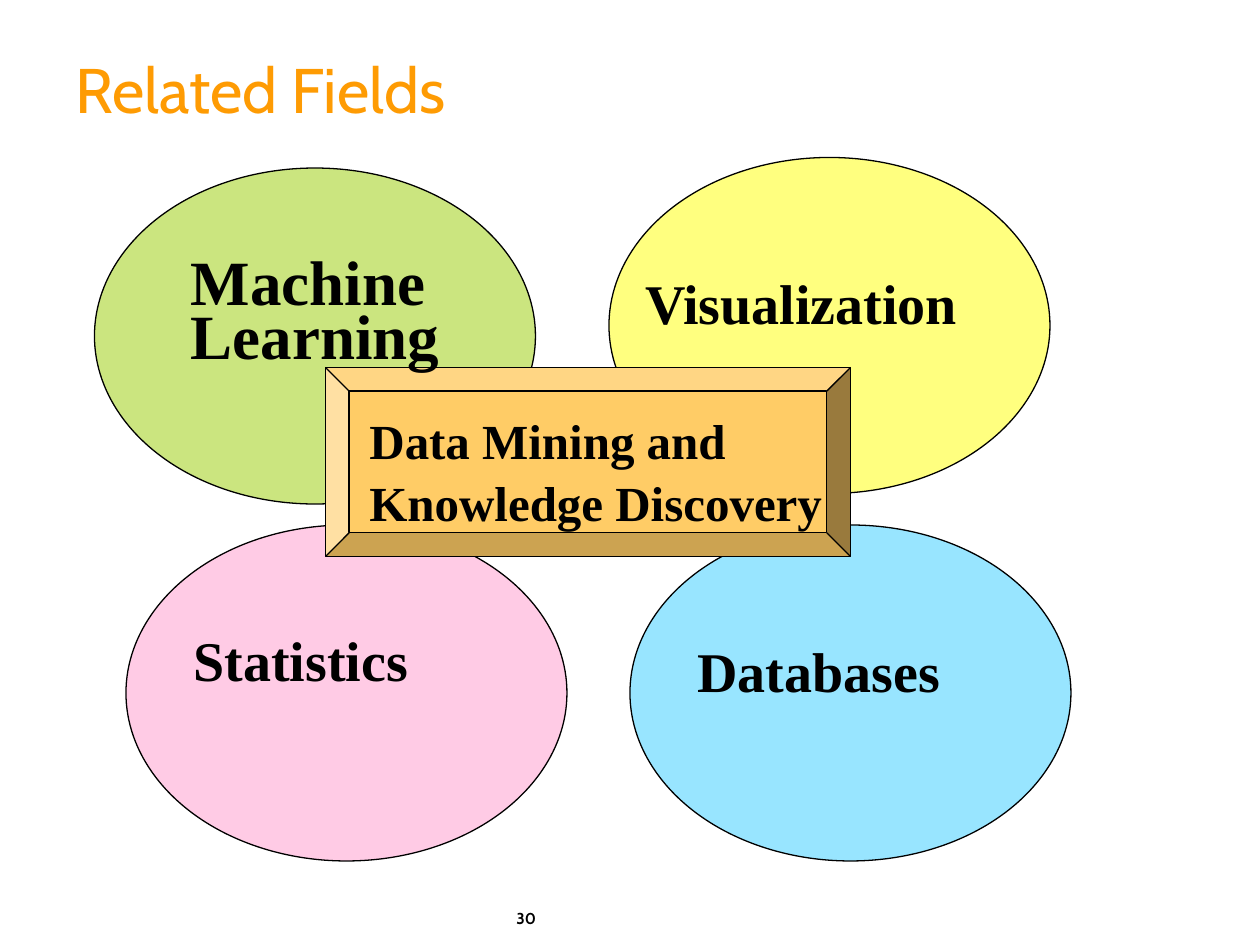
"""Build the Related Fields slide: four overlapping fields around data mining."""
from lxml.etree import SubElement
from pptx import Presentation
from pptx.dml.color import RGBColor
from pptx.enum.shapes import MSO_SHAPE
from pptx.enum.text import MSO_ANCHOR, MSO_AUTO_SIZE, PP_ALIGN
from pptx.oxml.ns import qn
from pptx.util import Pt

BLACK = RGBColor(0x00, 0x00, 0x00)
ORANGE = RGBColor(0xFE, 0x9B, 0x03)
GOLD = RGBColor(0xFF, 0xCC, 0x66)
BLUE = RGBColor(0x33, 0xCC, 0xFF)
PINK = RGBColor(0xFF, 0x99, 0xCC)
YELLOW = RGBColor(0xFF, 0xFF, 0x00)
GREEN = RGBColor(0x99, 0xCC, 0x00)
SERIF = "Times New Roman"
SANS = "Cabin"


def add_panel(kind, box, color):
    sp = s.shapes.add_shape(kind, *map(Pt, box))
    sp.shadow.inherit = False
    sp.fill.solid()
    sp.fill.fore_color.rgb = color
    sp.line.color.rgb = BLACK
    sp.line.width = Pt(0.75)
    return sp


def write(sp, lines, spacing, before, top, font):
    tf = sp.text_frame
    frame = {"word_wrap": True, "auto_size": MSO_AUTO_SIZE.NONE,
             "margin_top": Pt(top), "margin_right": 0}
    for name, value in frame.items():
        setattr(tf, name, value)
    for i, line in enumerate(lines):
        p = tf.add_paragraph() if i else tf.paragraphs[0]
        p.alignment = PP_ALIGN.LEFT
        p.line_spacing = spacing
        p.space_before = Pt(before if i else 0)
        r = p.add_run()
        r.text = line
        for name, value in font.items():
            setattr(r.font, name, value)
        r.font.color.rgb = ORANGE if sp.is_placeholder else BLACK


prs = Presentation()
prs.slide_width, prs.slide_height = Pt(720), Pt(540)
s = prs.slides.add_slide(prs.slide_layouts[5])

title = s.shapes.title
for name, value in {"left": 36, "top": 18, "width": 654, "height": 72}.items():
    setattr(title, name, Pt(value))
title.text_frame.vertical_anchor = MSO_ANCHOR.MIDDLE
write(title, ["Related Fields"], 0.85, 0, 3.6,
      {"name": SANS, "size": Pt(36), "bold": False})

for left, top, color in [(360, 300, BLUE), (72, 300, PINK),
                         (348, 90, YELLOW), (54, 96, GREEN)]:
    sp = add_panel(MSO_SHAPE.OVAL, (left, top, 252, 192), color)
    clr = sp.fill._xPr.find(qn("a:solidFill"))[0]
    SubElement(clr, qn("a:alpha")).set("val", "50000")

bevel = add_panel(MSO_SHAPE.BEVEL, (186, 210, 300, 108), GOLD)
bevel.adjustments[0] = 0.125

labels = [
    (["Statistics"], (103.5, 354, 182, 42), 1, 0, 3.6, SERIF, 32),
    (["Machine", "Learning"], (102, 150, 186, 55.5), 0.4, 13.5, 10.8, SERIF, 36),
    (["Databases"], (391.5, 360, 199, 42), 1, 0, 3.6, SERIF, 32),
    (["Visualization"], (361.5, 150, 239, 42), 1, 0, 3.6, SERIF, 32),
    (["Data Mining and", "Knowledge Discovery"], (204, 228, 273, 75),
     1.05, 0, 5, SERIF, 28),
    (["30"], (288, 516, 73.5, 24), 1, 0, 3.6, SANS, 9),
]
for lines, box, spacing, before, top, face, size in labels:
    write(s.shapes.add_textbox(*map(Pt, box)), lines, spacing, before, top,
          {"name": face, "size": Pt(size), "bold": True})

prs.save("out.pptx")
